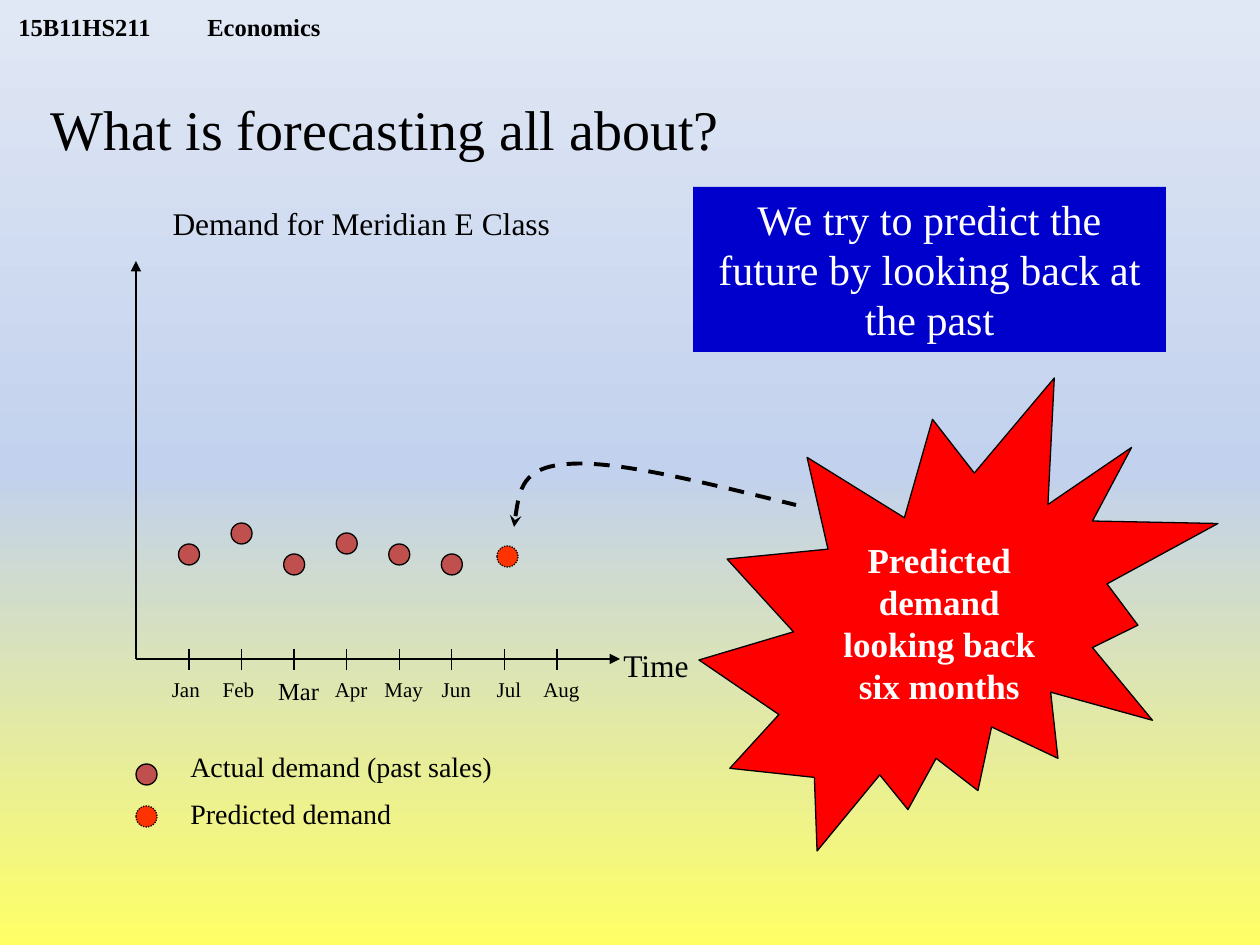
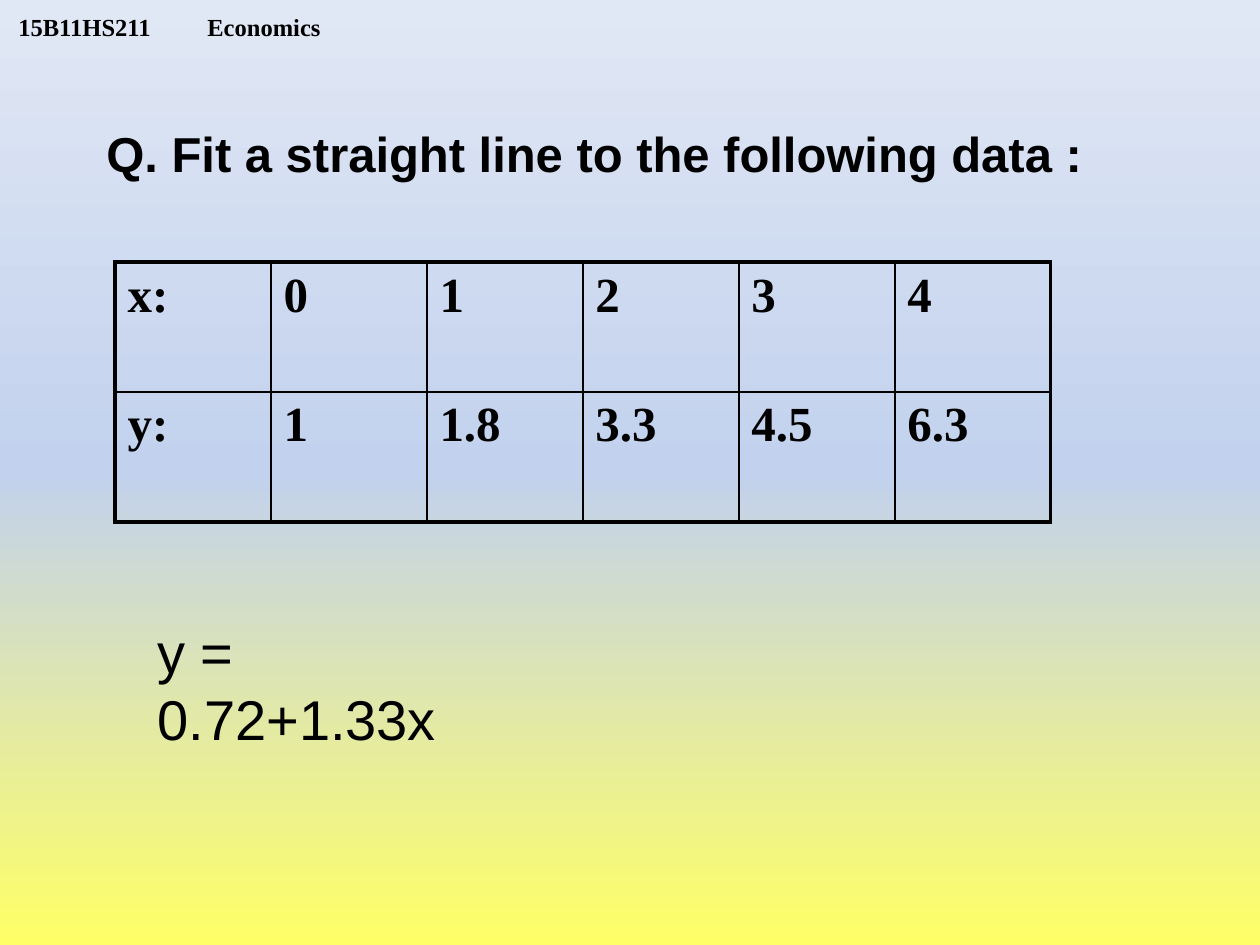
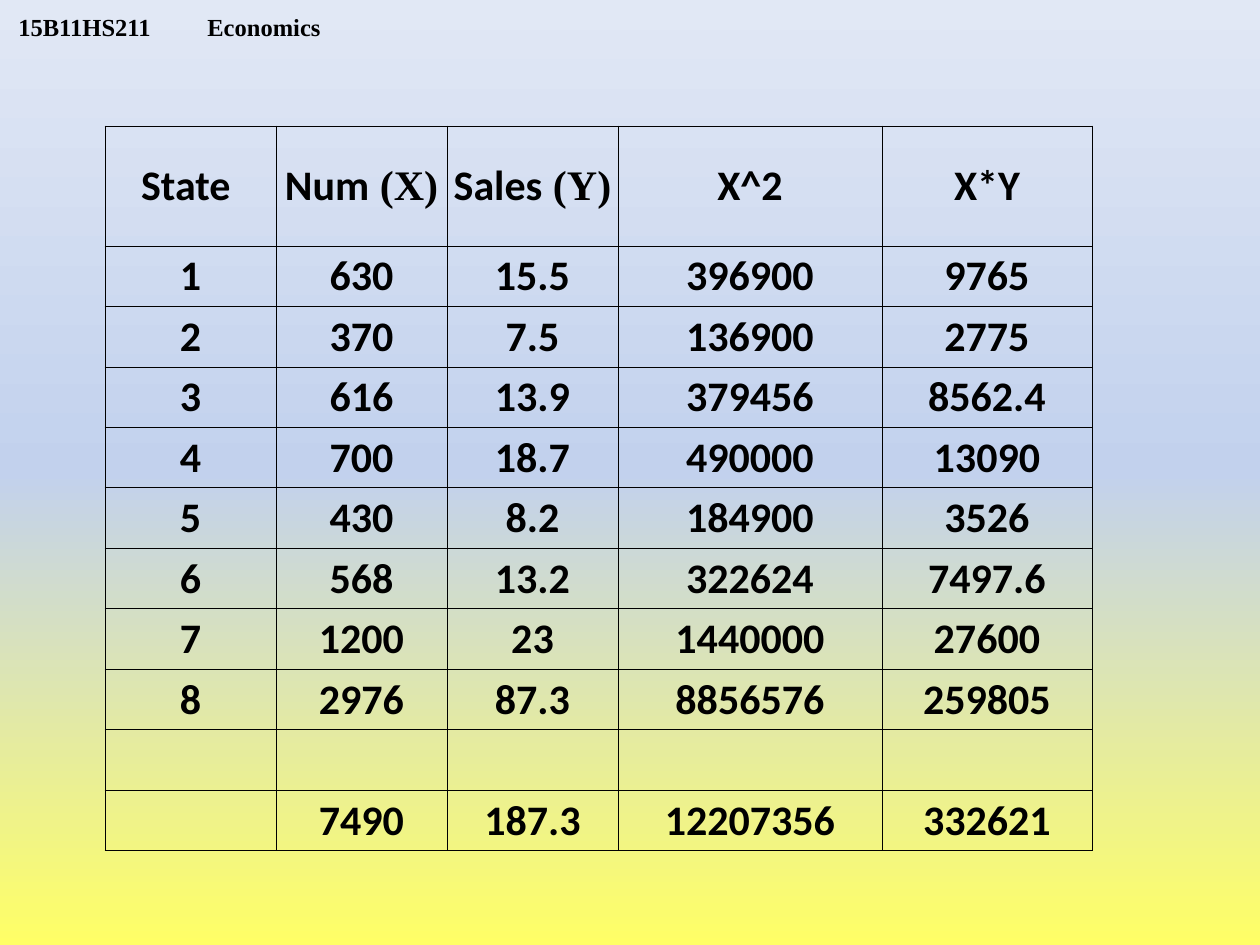
"""Build three economics slides on demand forecasting and straight-line fitting."""
from copy import deepcopy
from dataclasses import dataclass

from lxml.etree import SubElement
from pptx import Presentation
from pptx.dml.color import RGBColor
from pptx.enum.dml import MSO_LINE_DASH_STYLE as DASH
from pptx.enum.shapes import MSO_CONNECTOR, MSO_SHAPE as SHAPE
from pptx.enum.text import MSO_ANCHOR as ANCHOR, PP_ALIGN as ALIGN
from pptx.oxml.ns import qn
from pptx.util import Pt

PX = 914400 / 126


@dataclass(frozen=True)
class Theme:
    """Colours, fonts and type sizes shared by the slides."""

    black: str = "000000"
    white: str = "FFFFFF"
    actual: str = "C0504D"
    predicted: str = "FF3300"
    banner: str = "0000CC"
    burst: str = "FF0000"
    background: tuple = ((0, "FFFF66"), (0.5, "C2D1ED"), (1, "E1E8F5"))
    serif: str = "Times New Roman"
    sans: str = "Arial"
    table: str = "Calibri"
    title: int = 32
    question: int = 28
    large: int = 24
    callout: int = 20
    label: int = 18
    legend: int = 16
    header: int = 14
    month: int = 12
    thin: float = 0.5
    outline: float = 0.75
    inner: float = 1
    axis: float = 1.25
    heavy: float = 2.25


THEME = Theme()

HEADER = "15B11HS211\tEconomics"
HEADER_TAB = 205
MONTHS = [("Jan ", 63, 12), ("Feb ", 63, 12), ("Mar", 73, 14), ("Apr", 73, 12),
          ("May", 73, 12), ("Jun", 73, 12), ("Jul", 73, 12), ("Aug", 73, 12)]
ACTUAL_TOPS = [544, 523, 554, 533, 544, 554]
DOT = 21
FIRST_TICK, LAST_TICK = 189, 557
AXIS_LEFT, AXIS_TOP, AXIS_RIGHT, AXIS_BOTTOM = 136, 261, 620, 659
POINTER = [(514, 527), (518, 496), (522, 467), (568, 464), (616, 460), (706, 483), (796, 505)]

FIT_DATA = [["x:", "0", "1", "2", "3", "4"],
            ["y:", "1", "1.8", "3.3", "4.5", "6.3"]]

SALES_DATA = [
    ["State ", "Num (X)", "Sales (Y)", "X^2", "X*Y"],
    ["1", "630", "15.5", "396900", "9765"],
    ["2", "370", "7.5", "136900", "2775"],
    ["3", "616", "13.9", "379456", "8562.4"],
    ["4", "700", "18.7", "490000", "13090"],
    ["5", "430", "8.2", "184900", "3526"],
    ["6", "568", "13.2", "322624", "7497.6"],
    ["7", "1200", "23", "1440000", "27600"],
    ["8", "2976", "87.3", "8856576", "259805"],
    ["", "", "", "", ""],
    ["", "7490", "187.3", "12207356", "332621"],
]
SALES_COLUMNS = [171, 171, 171, 264, 210]
SALES_HEIGHT, SALES_HEADING = 725, 120


def emu(*lengths):
    return [round(length * PX) for length in lengths]


def rgb(colour):
    return RGBColor.from_string(colour)


def set_font(font, size, name=THEME.serif, colour=THEME.black, bold=False):
    font.size, font.name, font.bold = Pt(size), name, bold
    font.color.rgb = rgb(colour)


def write(text_frame, text, size, align=ALIGN.LEFT, gap=0, **font):
    text_frame.text = text
    for index, paragraph in enumerate(text_frame.paragraphs):
        paragraph.alignment = align
        if index:
            paragraph.space_before = Pt(gap)
        for run in paragraph.runs:
            set_font(run.font, size, **font)


def add_text(slide, box, text, size, wrap=True, **style):
    shape = slide.shapes.add_textbox(*emu(*box))
    shape.text_frame.word_wrap = wrap
    write(shape.text_frame, text, size, **style)
    return shape


def set_line(line, width, dash=None):
    line.color.rgb = rgb(THEME.black)
    line.width = Pt(width)
    if dash:
        line.dash_style = dash


def add_shape(slide, kind, box, fill):
    shape = slide.shapes.add_shape(kind, *emu(*box))
    shape.shadow.inherit = False
    shape.fill.solid()
    shape.fill.fore_color.rgb = rgb(fill)
    shape.line.fill.background()
    return shape


def add_dot(slide, left, top, predicted=False):
    fill = THEME.predicted if predicted else THEME.actual
    dot = add_shape(slide, SHAPE.OVAL, (left, top, DOT, DOT), fill)
    set_line(dot.line, THEME.outline, DASH.ROUND_DOT if predicted else None)


def add_arrowhead(shape, end, kind):
    SubElement(shape.element.find(".//" + qn("a:ln")), qn(end), type=kind)


def add_line(slide, start, end, width, arrow=False):
    line = slide.shapes.add_connector(MSO_CONNECTOR.STRAIGHT, *emu(*start, *end))
    set_line(line.line, width)
    if arrow:
        add_arrowhead(line, "a:tailEnd", "triangle")
    SubElement(line.element.find(qn("p:spPr")), qn("a:effectLst"))


def add_curve(slide, points):
    builder = slide.shapes.build_freeform(*points[0], scale=PX)
    builder.add_line_segments(points[1:], close=False)
    curve = builder.convert_to_shape()
    curve.shadow.inherit = False
    curve.fill.background()
    set_line(curve.line, THEME.heavy, DASH.DASH)
    add_arrowhead(curve, "a:headEnd", "stealth")
    outline = curve.element.find(".//" + qn("a:path"))
    segments = outline.findall(qn("a:lnTo"))
    for first in range(0, len(segments), 3):
        bezier = SubElement(outline, qn("a:cubicBezTo"))
        for segment in segments[first:first + 3]:
            bezier.append(segment[0])
            outline.remove(segment)


def set_borders(cell, widths):
    properties = cell._tc.get_or_add_tcPr()
    for index, (side, width) in enumerate(zip("LRTB", widths)):
        border = properties.makeelement(qn(f"a:ln{side}"), {"w": str(Pt(width))})
        colour = SubElement(SubElement(border, qn("a:solidFill")), qn("a:srgbClr"))
        colour.set("val", THEME.black)
        properties.insert(index, border)


def add_grid(slide, left, top, columns, rows, data):
    box = emu(left, top, sum(columns), sum(rows))
    table = slide.shapes.add_table(len(rows), len(columns), *box).table
    table.first_row = table.horz_banding = False
    for column, width in zip(table.columns, emu(*columns)):
        column.width = width
    for row, height in zip(table.rows, emu(*rows)):
        row.height = height
    for row, texts in zip(table.rows, data):
        for cell, text in zip(row.cells, texts):
            cell.fill.background()
            cell.text_frame.text = text
    return table


def new_slide(presentation):
    slide = presentation.slides.add_slide(presentation.slide_layouts[6])
    fill = slide.background.fill
    fill.gradient()
    fill.gradient_angle = 90
    stops = slide.element.find(".//" + qn("a:gsLst"))
    stops.append(deepcopy(stops[0]))
    for stop, (position, colour) in zip(fill.gradient_stops, THEME.background):
        stop.position = position
        stop.color.rgb = rgb(colour)

    header = slide.shapes.add_textbox(*emu(6, 0, 403, 41))
    frame = header.text_frame
    frame.word_wrap = True
    frame.vertical_anchor = ANCHOR.BOTTOM
    frame.margin_top = frame.margin_bottom = 0
    properties = frame.paragraphs[0]._p.get_or_add_pPr()
    tabs = SubElement(properties, qn("a:tabLst"))
    SubElement(tabs, qn("a:tab"), pos=str(emu(HEADER_TAB)[0]), algn="l")
    write(frame, HEADER, THEME.header, bold=True)
    return slide


def build_forecasting(presentation):
    slide = new_slide(presentation)
    add_text(slide, (38, 88, 1144, 79), "What is forecasting all about?", THEME.title)
    add_text(slide, (73, 198, 577, 50), "Demand for Meridian E Class", THEME.label,
             align=ALIGN.CENTER)
    origin = (AXIS_LEFT, AXIS_BOTTOM)
    for end in ((AXIS_LEFT, AXIS_TOP), (AXIS_RIGHT, AXIS_BOTTOM)):
        add_line(slide, origin, end, THEME.axis, arrow=True)
    add_text(slide, (588, 640, 136, 50), "Time", THEME.label, align=ALIGN.CENTER)

    step = (LAST_TICK - FIRST_TICK) / (len(MONTHS) - 1)
    ticks = [FIRST_TICK + step * index for index in range(len(MONTHS))]
    for tick, (month, width, size) in zip(ticks, MONTHS):
        add_line(slide, (tick, AXIS_BOTTOM - 10), (tick, AXIS_BOTTOM + 11), THEME.outline)
        add_text(slide, (tick - 32, 670, width, 38), month, size, align=ALIGN.CENTER)
    for tick, top in zip(ticks, ACTUAL_TOPS):
        add_dot(slide, tick - DOT / 2, top)

    add_dot(slide, AXIS_LEFT, 764)
    add_dot(slide, AXIS_LEFT, 806, predicted=True)
    add_text(slide, (178, 743, 577, 97), "Actual demand (past sales)\nPredicted demand",
             THEME.legend, gap=THEME.legend / 2)

    banner = add_shape(slide, SHAPE.RECTANGLE, (693, 187, 473, 165), THEME.banner)
    banner.text_frame.vertical_anchor = ANCHOR.TOP
    write(banner.text_frame, "We try to predict the future by looking back at the past",
          THEME.large, align=ALIGN.CENTER, colour=THEME.white)

    add_dot(slide, 497, 546, predicted=True)
    add_curve(slide, POINTER)
    burst = add_shape(slide, SHAPE.EXPLOSION2, (699, 378, 519, 473), THEME.burst)
    set_line(burst.line, THEME.outline)
    write(burst.text_frame, "Predicted demand looking back six months", THEME.callout,
          align=ALIGN.CENTER, colour=THEME.white, bold=True)


def build_line_fit(presentation):
    slide = new_slide(presentation)
    add_text(slide, (94, 117, 1003, 72), "Q. Fit a straight line to the following data :",
             THEME.question, wrap=False, name=THEME.sans, bold=True)
    table = add_grid(slide, 115, 262, [156] * 6, [130] * 2, FIT_DATA)
    last_row, last_column = len(table.rows) - 1, len(table.columns) - 1
    for row_index, row in enumerate(table.rows):
        for column_index, cell in enumerate(row.cells):
            write(cell.text_frame, cell.text, THEME.question, bold=True)
            edges = (column_index == 0, column_index == last_column,
                     row_index == 0, row_index == last_row)
            set_borders(cell, [THEME.heavy if edge else THEME.inner for edge in edges])
    answer = add_text(slide, (145, 611, 396, 79), "y = 0.72+1.33x", THEME.title,
                      name=THEME.sans)
    answer.text_frame.margin_right = emu(50)[0]


def build_sales_table(presentation):
    slide = new_slide(presentation)
    body_rows = len(SALES_DATA) - 1
    rows = [SALES_HEADING] + [(SALES_HEIGHT - SALES_HEADING) / body_rows] * body_rows
    table = add_grid(slide, 105, 126, SALES_COLUMNS, rows, SALES_DATA)
    for cell in table.iter_cells():
        cell.vertical_anchor = ANCHOR.MIDDLE
        cell.margin_left = cell.margin_right = cell.margin_top = emu(1)[0]
        cell.margin_bottom = 0
        set_borders(cell, [THEME.thin] * 4)
        name, bracket, symbol = cell.text.partition(" (")
        write(cell.text_frame, name, THEME.large, align=ALIGN.CENTER,
              name=THEME.table, bold=True)
        if bracket:
            run = cell.text_frame.paragraphs[0].add_run()
            run.text = bracket + symbol
            set_font(run.font, THEME.large, bold=True)


def main():
    presentation = Presentation()
    presentation.slide_width, presentation.slide_height = emu(1260, 945)
    build_forecasting(presentation)
    build_line_fit(presentation)
    build_sales_table(presentation)
    presentation.save("out.pptx")


if __name__ == "__main__":
    main()
